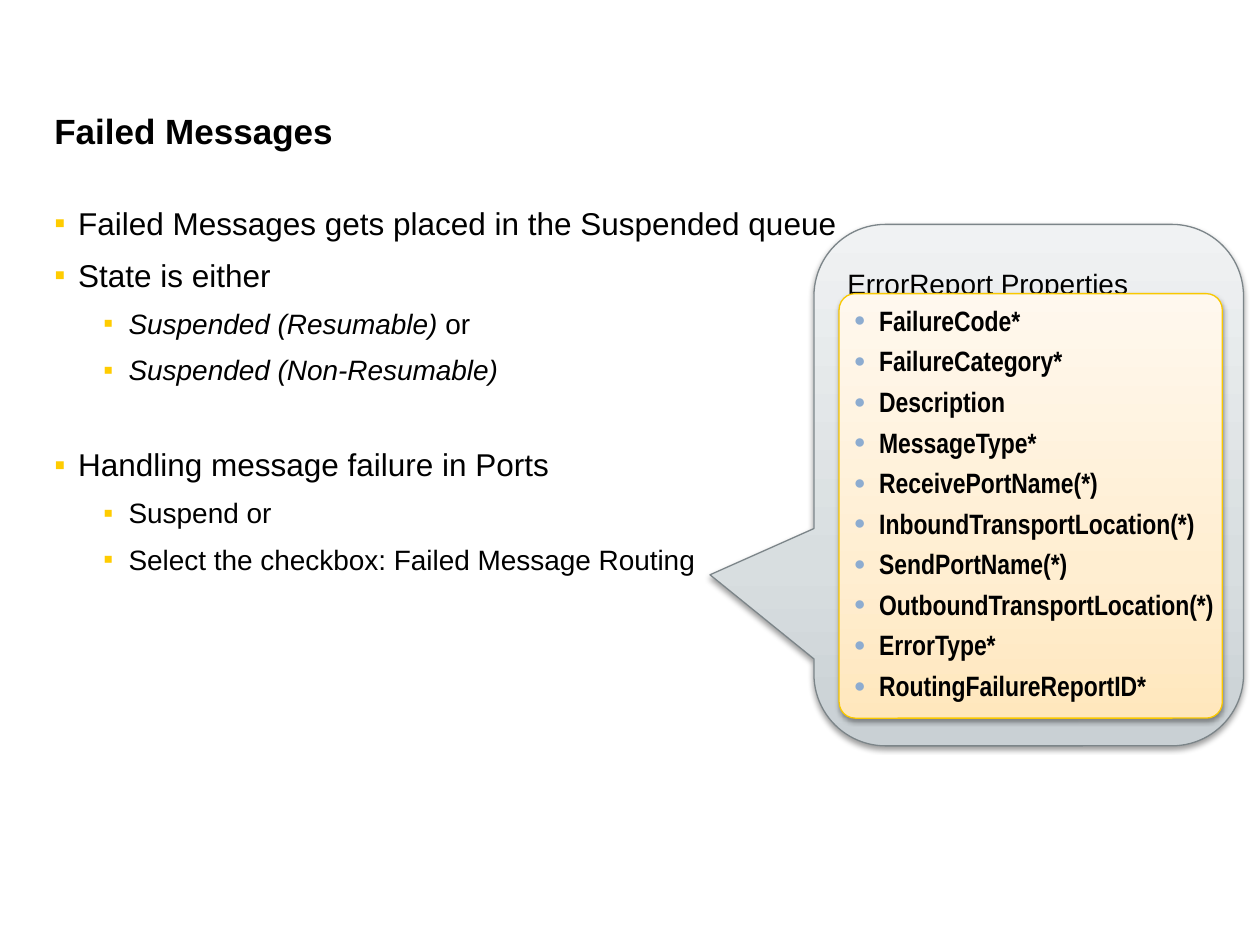
"""Build the Failed Messages slide with its ErrorReport property callout."""
from lxml.etree import SubElement
from pptx import Presentation
from pptx.dml.color import RGBColor as Rgb
from pptx.enum.shapes import MSO_SHAPE as Shape
from pptx.enum.text import MSO_ANCHOR as Anchor, PP_ALIGN as Align
from pptx.oxml.ns import qn
from pptx.util import Pt

COLORS = {
    "text": "000000", "marker": "FFCC00", "dot": "8DACD0", "shadow": "000000",
    "callout_line": "7C8589", "card_line": "F9C800",
}
GRADIENTS = {
    "callout": [(0, "C9D0D4"), (35, "D8DEE0"), (100, "F0F2F3")],
    "card": [(0, "FFE7BD"), (35, "FFEED1"), (100, "FFF8EE")],
}
TITLE = "Failed Messages"
GROUPS = [
    [
        (0, [("Failed Messages gets placed in the Suspended queue", False)]),
        (0, [("State is either", False)]),
        (1, [("Suspended (Resumable) ", True), ("or", False)]),
        (1, [("Suspended (Non-Resumable)", True)]),
    ],
    [
        (0, [("Handling message failure in Ports", False)]),
        (1, [("Suspend or", False)]),
        (1, [("Select the checkbox: Failed Message Routing", False)]),
    ],
]
CALLOUT_TITLE = "ErrorReport Properties"
PROPERTIES = [
    "FailureCode*", "FailureCategory*", "Description", "MessageType*",
    "ReceivePortName(*)", "InboundTransportLocation(*)", "SendPortName(*)",
    "OutboundTransportLocation(*)", "ErrorType*", "RoutingFailureReportID*",
]
LEVELS = [
    {"size": 18, "left": 13.7, "hang": 13.7, "gap": 8},
    {"size": 16, "left": 42.5, "hang": 14.4, "gap": 7.3},
]
GROUP_GAP = 25.7


def set_frame(shape, insets, anchor=Anchor.TOP):
    frame = shape.text_frame
    sides = ("margin_left", "margin_top", "margin_right", "margin_bottom")
    values = dict(zip(sides, map(Pt, insets)))
    values.update(word_wrap=True, vertical_anchor=anchor)
    for name, value in values.items():
        setattr(frame, name, value)
    return frame


def next_paragraph(frame, gap=0):
    first = frame.paragraphs[0]
    if not first.runs:
        first.alignment = Align.LEFT
        return first
    paragraph = frame.add_paragraph()
    paragraph.alignment = Align.LEFT
    paragraph.space_before = Pt(gap)
    return paragraph


def add_run(paragraph, text, size, name="Arial", bold=False, italic=False):
    run = paragraph.add_run()
    run.text = text
    style = {"size": Pt(size), "name": name, "bold": bold, "italic": italic}
    for key, value in style.items():
        setattr(run.font, key, value)
    run.font.color.rgb = Rgb.from_string(COLORS["text"])


def add_bullet(paragraph, char, color, left, hang, percent=100):
    props = paragraph._p.get_or_add_pPr()
    props.set("marL", str(Pt(left)))
    props.set("indent", str(-Pt(hang)))
    tint = SubElement(props, qn("a:buClr"))
    SubElement(tint, qn("a:srgbClr"), val=COLORS[color])
    SubElement(props, qn("a:buSzPct"), val=str(percent * 1000))
    SubElement(props, qn("a:buFont"), typeface="Arial")
    SubElement(props, qn("a:buChar"), char=char)


def add_panel(slide, kind, box, adjustments, part):
    panel = slide.shapes.add_shape(kind, *map(Pt, box))
    for index, value in enumerate(adjustments):
        panel.adjustments[index] = value
    panel.line.color.rgb = Rgb.from_string(COLORS[part + "_line"])
    panel.line.width = Pt(0.75)
    panel.fill.gradient()
    panel.fill.gradient_angle = 90
    props = panel._element.spPr
    stops = props.find(".//" + qn("a:gsLst"))
    stops.clear()
    for position, color in GRADIENTS[part]:
        stop = SubElement(stops, qn("a:gs"), pos=str(position * 1000))
        SubElement(stop, qn("a:srgbClr"), val=color)
    panel.shadow.inherit = False
    shadow = SubElement(
        props.find(qn("a:effectLst")), qn("a:outerShdw"), blurRad=str(Pt(3.1)),
        dist=str(Pt(1.6)), dir="5400000", rotWithShape="0")
    shade = SubElement(shadow, qn("a:srgbClr"), val=COLORS["shadow"])
    SubElement(shade, qn("a:alpha"), val="38000")
    return panel


def add_title(slide):
    box = slide.shapes.add_textbox(Pt(31), Pt(60.5), Pt(658), Pt(28))
    frame = set_frame(box, (0, 0, 0, 0), Anchor.MIDDLE)
    add_run(next_paragraph(frame), TITLE, 20, bold=True)


def add_body(slide):
    box = slide.shapes.add_textbox(Pt(31), Pt(116.6), Pt(658), Pt(363))
    frame = set_frame(box, (0, 0, 0, 0))
    for group in GROUPS:
        for index, (depth, pieces) in enumerate(group):
            level = LEVELS[depth]
            extra = GROUP_GAP if index == 0 else 0
            paragraph = next_paragraph(frame, level["gap"] + extra)
            paragraph.level = depth
            add_bullet(paragraph, "▪", "marker", level["left"], level["hang"])
            for text, italic in pieces:
                add_run(paragraph, text, level["size"], italic=italic)


def add_callout(slide):
    callout = add_panel(slide, Shape.ROUNDED_RECTANGULAR_CALLOUT,
                        (465.1, 128.2, 245.5, 298), (-0.742, 0.172, 0.167), "callout")
    heading = next_paragraph(set_frame(callout, (7.2, 14.5, 7.2, 3.6)))
    heading.line_spacing = 0.9
    add_run(heading, CALLOUT_TITLE, 16)

    card = add_panel(slide, Shape.ROUNDED_RECTANGLE,
                     (479.5, 167.8, 219, 242.6), (0.042,), "card")
    frame = set_frame(card, (5.8, 2.9, 0, 2.9))
    for name in PROPERTIES:
        paragraph = next_paragraph(frame, 4)
        add_bullet(paragraph, "●", "dot", 14.4, 14.4, 70)
        add_run(paragraph, name, 16, "Arial Narrow", bold=True)


def main():
    deck = Presentation()
    deck.slide_width, deck.slide_height = Pt(720), Pt(540)
    slide = deck.slides.add_slide(deck.slide_layouts[6])
    add_title(slide)
    add_body(slide)
    add_callout(slide)
    deck.save("out.pptx")


if __name__ == "__main__":
    main()
